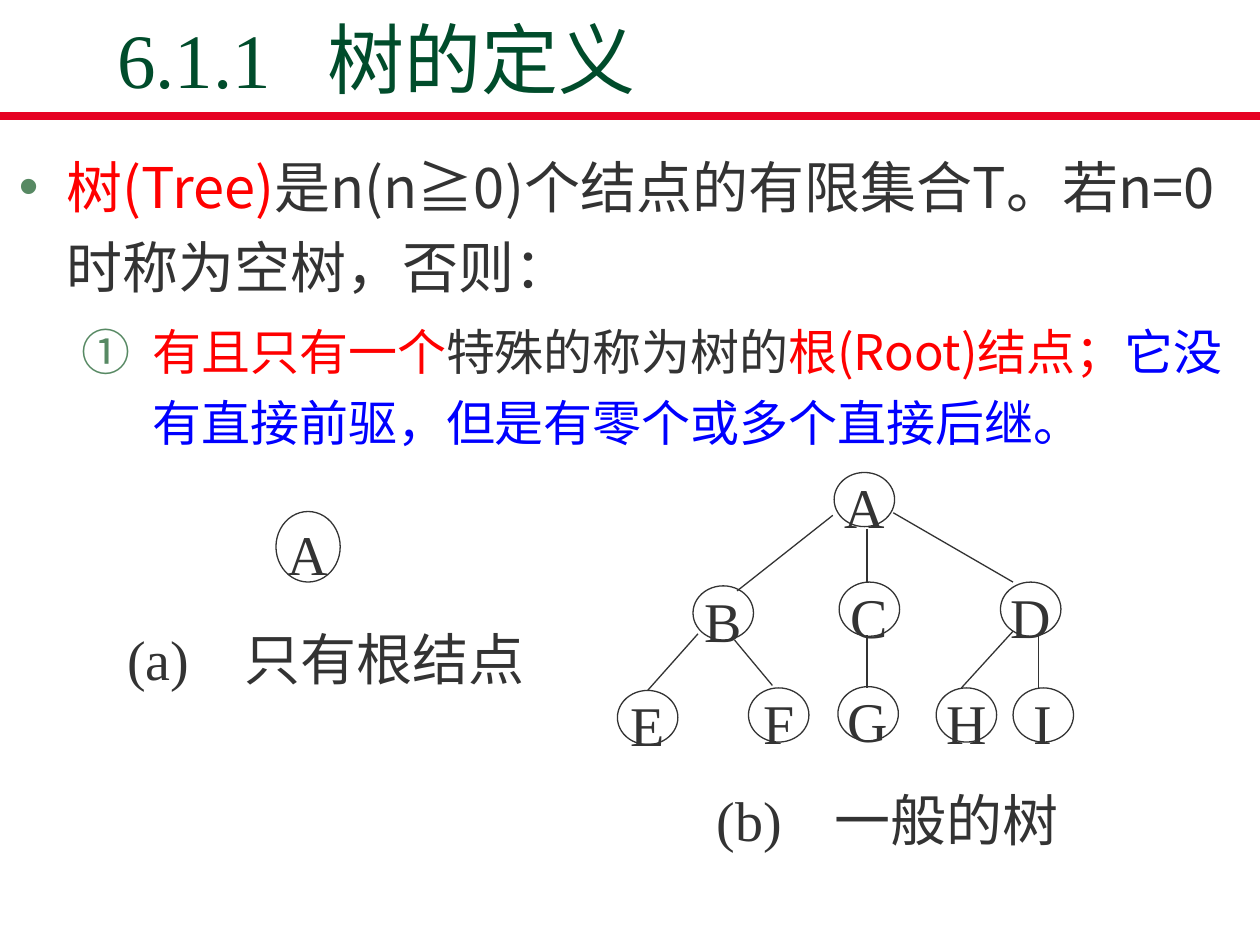
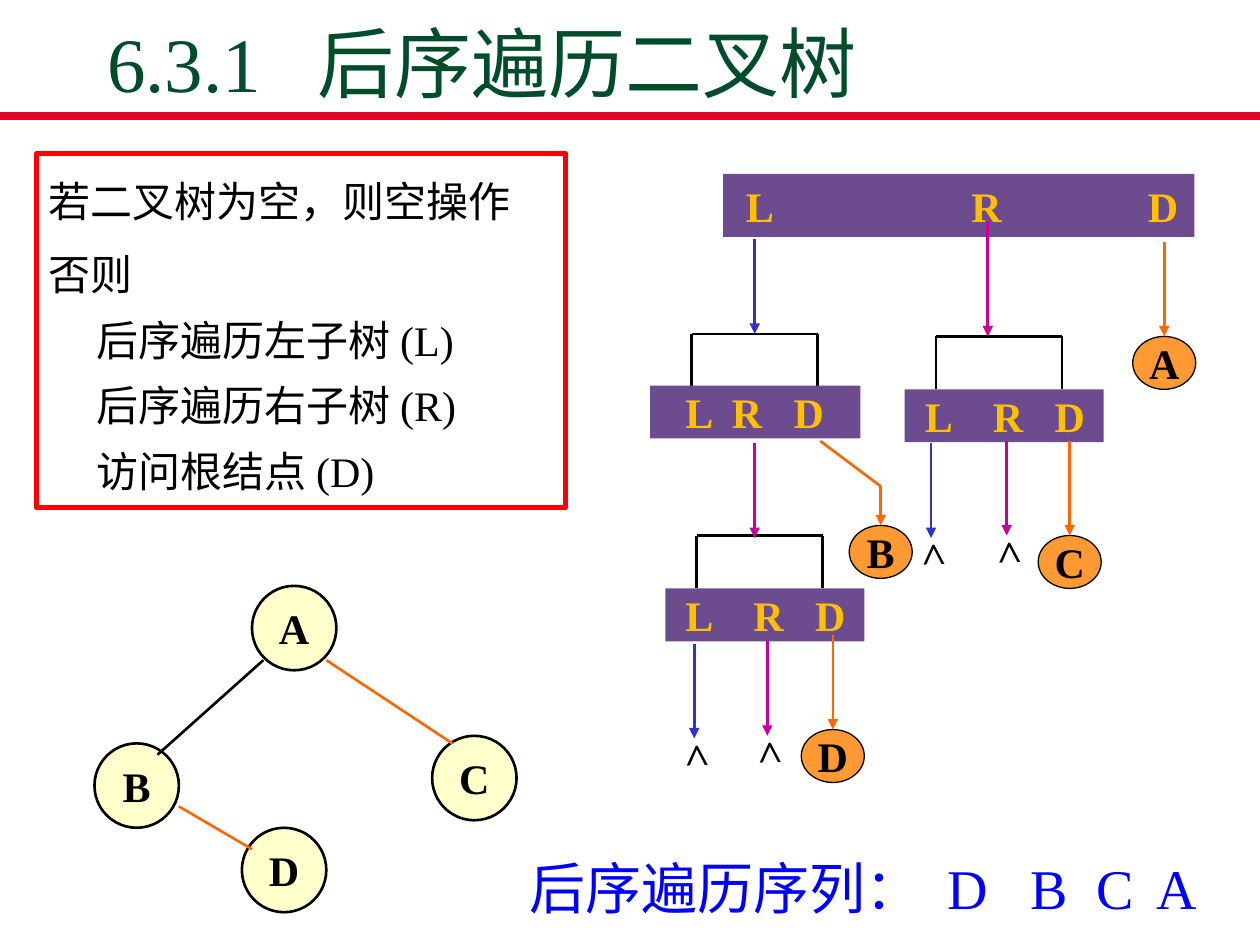
from dataclasses import dataclass

from lxml import etree
from pptx import Presentation
from pptx.dml.color import RGBColor
from pptx.enum.shapes import MSO_CONNECTOR, MSO_SHAPE
from pptx.enum.text import MSO_ANCHOR, MSO_AUTO_SIZE, PP_ALIGN
from pptx.oxml.ns import qn
from pptx.util import Inches, Pt

LINE = MSO_CONNECTOR.STRAIGHT
OVAL, RECT = MSO_SHAPE.OVAL, MSO_SHAPE.RECTANGLE
TOP, MID, LOW = MSO_ANCHOR.TOP, MSO_ANCHOR.MIDDLE, MSO_ANCHOR.BOTTOM
LEFT, CENTER = PP_ALIGN.LEFT, PP_ALIGN.CENTER
FIXED = MSO_AUTO_SIZE.NONE


@dataclass(frozen=True)
class Theme:
    serif: str = "Times New Roman"
    sans: str = "Noto Sans CJK SC"
    title: str = "004C2B"
    rule: str = "E60223"
    bullet: str = "578963"
    ink: str = "333333"
    black: str = "000000"
    red: str = "FF0000"
    blue: str = "0000FF"
    cream: str = "FFFFCC"
    amber: str = "FF9933"
    bar: str = "6C4C8F"
    gold: str = "FFC000"
    left: str = "3333CC"
    right: str = "CC0099"
    visit: str = "FF6600"
    head: int = 44
    big: int = 32
    mid: int = 28
    small: int = 24


T = Theme()


def put(parent, tag, **attrs):
    """Append a drawing element and return it."""
    node = etree.SubElement(parent, qn("a:" + tag))
    for key, value in attrs.items():
        node.set(key, str(value))
    return node


def rgb(code):
    return RGBColor.from_string(code)


class Deck:
    def __init__(self):
        self.prs = Presentation()
        self.prs.slide_width, self.prs.slide_height = Inches(10), Inches(7.5)
        self.slide = None

    def page(self, layout, title, box, anchor):
        self.slide = self.prs.slides.add_slide(self.prs.slide_layouts[layout])
        self.line((0, 0.92), (10, 0.92), T.rule, 4.5)
        frame = self.hold(self.slide.shapes.title, box, anchor)
        self.say(frame.paragraphs[0], [(title, T.title)], T.head,
                 align=LEFT, tabs=[1.67])

    def hold(self, shape, box, anchor=TOP, wrap=True, inset=0.1):
        """Place a shape and return its text frame, set up for text."""
        for key, value in zip(("left", "top", "width", "height"), box):
            setattr(shape, key, Inches(value))
        frame = shape.text_frame
        form = dict(vertical_anchor=anchor, word_wrap=wrap, auto_size=FIXED,
                    margin_left=Inches(inset), margin_right=Inches(0.1),
                    margin_top=Inches(0.05), margin_bottom=Inches(0.05))
        for key, value in form.items():
            setattr(frame, key, value)
        return frame

    def say(self, par, runs, size, face=T.serif, bold=False, tabs=(),
            indent=None, bullet=None, **form):
        """Fill a paragraph with (text, colour) runs; a line feed breaks a line."""
        props = par._p.get_or_add_pPr()
        if indent:
            props.set("marL", str(Inches(indent[0])))
            props.set("indent", str(Inches(indent[1])))
        if bullet:
            put(put(props, "buClr"), "srgbClr", val=T.bullet)
            put(props, bullet[0], **bullet[1])
        if tabs:
            stops = put(props, "tabLst")
            for tab in tabs:
                put(stops, "tab", pos=Inches(tab), algn="l")
        for key, value in {"alignment": form.pop("align", None), **form}.items():
            setattr(par, key, value)
        for text, color in runs:
            for i, part in enumerate(text.split("\n")):
                if i:
                    par.add_line_break()
                run = par.add_run()
                run.text = part
                for key, value in dict(name=face, size=Pt(size), bold=bold).items():
                    setattr(run.font, key, value)
                run.font.color.rgb = rgb(color)
                put(run._r.get_or_add_rPr(), "ea", typeface=T.sans)

    def text(self, box, text, size, color, anchor=TOP, inset=0.1, turn=0, **form):
        shape = self.slide.shapes.add_textbox(0, 0, 0, 0)
        frame = self.hold(shape, box, anchor, inset=inset)
        shape.rotation = turn
        self.say(frame.paragraphs[0], [(text, color)], size, **form)

    def shape(self, kind, box, fill=None, edge=None, width=0.75, **hold):
        item = self.slide.shapes.add_shape(kind, 0, 0, 0, 0)
        item.shadow.inherit = False
        if fill:
            item.fill.solid()
            item.fill.fore_color.rgb = rgb(fill)
        else:
            item.fill.background()
        if edge:
            item.line.color.rgb = rgb(edge)
            item.line.width = Pt(width)
        else:
            item.line.fill.background()
        return item, self.hold(item, box, **hold)

    def node(self, name, box, size, color, fill=None, width=0.75, **form):
        item, frame = self.shape(OVAL, box, fill, color, width,
                                 anchor=MID, wrap=False)
        self.say(frame.paragraphs[0], [(name, color)], size, align=CENTER, **form)
        return item

    def bar(self, box, start, tabs):
        """A band with L at start and R, D at the tab stops after it."""
        _, frame = self.shape(RECT, box, T.bar, anchor=MID, inset=start)
        self.say(frame.paragraphs[0], [("L\tR\tD", T.gold)], T.small,
                 bold=True, align=LEFT, tabs=tabs)

    def line(self, start, end, color, width=1.5, arrow=False, goal=None):
        ends = [Inches(v) for v in (*start, *end)]
        item = self.slide.shapes.add_connector(LINE, *ends)
        item.line.color.rgb = rgb(color)
        item.line.width = Pt(width)
        props = item._element.spPr
        if arrow:
            put(props.get_or_add_ln(), "tailEnd", type="triangle")
        put(props, "effectLst")
        if goal is not None:
            item.end_connect(goal, 0)

    def drop(self, x, top, color, length=0.75, goal=None):
        self.line((x, top), (x, top + length), color, arrow=True, goal=goal)

    def fork(self, x, y):
        """A bracket one inch wide, open below."""
        self.line((x, y), (x + 1, y), T.black)
        for leg in (x, x + 1):
            self.line((leg, y), (leg, y + 0.42), T.black)

    def visit(self, name, x, y, length=0.75):
        """An arrow down to the node visited, whose top is at (x, y)."""
        goal = self.node(name, (x - 0.25, y, 0.5, 0.42), T.small, T.black,
                         T.amber, bold=True)
        self.drop(x, y - length, T.visit, length, goal)

    def empty(self, x, top, color):
        """An arrow down to the mark of an empty subtree."""
        self.drop(x, top, color)
        self.text((x - 0.21, top + 0.62, 0.42, 0.5), ">", T.small, T.black,
                  turn=268.3, bold=True)


def define(deck):
    deck.page(1, "6.1.1\t树的定义", (0.83, 0.17, 8.5, 0.58), MID)
    frame = deck.hold(deck.slide.placeholders[1], (0.05, 1.05, 9.95, 2.8))
    deck.say(frame.paragraphs[0],
             [("树(Tree)", T.red),
              ("是n(n≧0)个结点的有限集合T。若n=0时称为空树，否则：", T.ink)],
             T.big, T.sans, indent=(0.38, -0.38), line_spacing=1.2,
             space_before=Pt(0), bullet=("buChar", {"char": "•"}))
    deck.say(frame.add_paragraph(),
             [("有且只有一个", T.red), ("特殊的称为树的", T.ink),
              ("根(Root)结点；", T.red),
              ("它没有直接前驱，但是有零个或多个直接后继。", T.blue)],
             T.mid, T.sans, indent=(1.06, -0.56), line_spacing=1.2, level=1,
             space_before=Pt(5.6),
             bullet=("buAutoNum", {"type": "circleNumDbPlain"}))

    deck.node("A", (2.19, 4.06, 0.51, 0.56), T.big, T.ink, line_spacing=1.2)
    nodes = {"A": (6.62, 3.75), "B": (5.5, 4.65), "C": (6.66, 4.62),
             "D": (7.94, 4.62), "E": (4.9, 5.48), "F": (5.94, 5.46),
             "G": (6.65, 5.45), "H": (7.43, 5.46), "I": (8.04, 5.46)}
    for name, spot in nodes.items():
        deck.node(name, (*spot, 0.48, 0.43), T.big, T.ink, line_spacing=1.2)
    edges = [((6.61, 4.09), (5.85, 4.69)), ((6.88, 4.2), (6.88, 4.63)),
             ((7.09, 4.07), (8.04, 4.62)), ((5.54, 5.03), (5.14, 5.48)),
             ((5.83, 5.08), (6.13, 5.44)), ((6.88, 5.04), (6.88, 5.46)),
             ((8.04, 5.01), (7.63, 5.46)), ((8.24, 5.04), (8.24, 5.46))]
    for start, end in edges:
        deck.line(start, end, T.ink, 0.75)
    for label, box, inset in (("(a)\t只有根结点", (0.67, 4.9, 3.83, 0.54), 0.34),
                              ("(b)\t一般的树", (4.77, 6.21, 4.56, 0.48), 0.92)):
        deck.text(box, label, T.big, T.ink, MID, inset, tabs=[0.93],
                  line_spacing=1.2)


def traverse(deck):
    deck.page(5, "6.3.1\t后序遍历二叉树", (0.75, 0.26, 8.5, 0.65), LOW)
    _, frame = deck.shape(RECT, (0.29, 1.22, 4.2, 2.81), edge=T.red, width=3)
    steps = ["若二叉树为空，则空操作",
             "否则\n后序遍历左子树 (L)\n后序遍历右子树 (R)\n访问根结点 (D)"]
    for i, step in enumerate(steps):
        par = frame.add_paragraph() if i else frame.paragraphs[0]
        deck.say(par, [(step, T.black)], T.small, indent=(0.38, -0.38),
                 align=LEFT, line_spacing=1.3, space_before=Pt(4.8 * i))

    nodes = {"A": (2, 4.65), "B": (0.75, 5.9), "C": (3.43, 5.84), "D": (1.92, 6.57)}
    for name, spot in nodes.items():
        deck.node(name, (*spot, 0.67, 0.67), T.small, T.black, T.cream, 1.5,
                  bold=True)
    for start, end, color in (((2.09, 5.24), (1.25, 5.99), T.black),
                              ((2.59, 5.24), (3.59, 5.9), T.visit),
                              ((1.42, 6.4), (2, 6.74), T.visit)):
        deck.line(start, end, color)

    deck.bar((5.74, 1.38, 3.74, 0.5), 0.18, (1.79, 3.19))
    for x, y in ((5.49, 2.65), (5.53, 4.25), (7.43, 2.67)):
        deck.fork(x, y)
    deck.bar((5.16, 3.06, 1.67, 0.42), 0.28, (0.37, 0.86))
    for x, y in ((5.28, 4.67), (7.18, 3.09)):
        deck.bar((x, y, 1.58, 0.42), 0.16, (0.54, 1.03))

    deck.drop(5.99, 1.9, T.left)
    deck.drop(7.84, 1.75, T.right, 0.92)
    deck.drop(5.99, 3.52, T.right)
    for x, top, color in ((5.51, 5.11, T.left), (6.09, 5.09, T.right),
                          (7.39, 3.52, T.left), (7.99, 3.5, T.right)):
        deck.empty(x, top, color)
    for name, x, y in (("A", 9.24, 2.67), ("C", 8.49, 4.25), ("D", 6.61, 5.79)):
        deck.visit(name, x, y)
    deck.visit("B", 6.99, 4.17, 0.31)
    deck.line((6.51, 3.5), (6.99, 3.86), T.visit)
    deck.text((4.1, 6.62, 5.85, 0.75), "后序遍历序列：\tD\tB\tC\tA", T.big, T.blue,
              tabs=(3.32, 3.98, 4.5, 4.98), line_spacing=1.2)


def main():
    deck = Deck()
    define(deck)
    traverse(deck)
    deck.prs.save("out.pptx")


if __name__ == "__main__":
    main()
